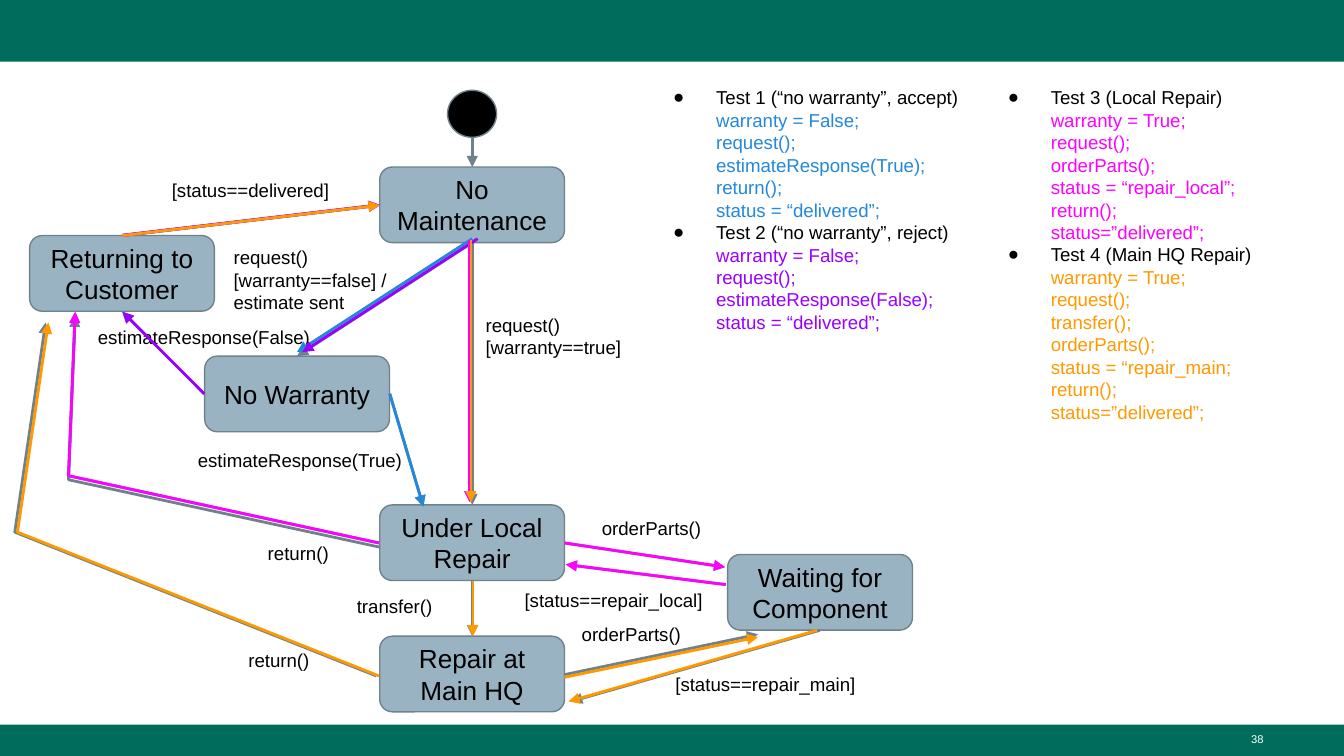
"""Draw a repair workflow state machine with four test paths over it."""
import copy

import lxml.etree
import pptx
import pptx.dml.color
import pptx.enum.shapes
import pptx.enum.text
import pptx.oxml.ns
import pptx.util

RGB = pptx.dml.color.RGBColor
SHAPES = pptx.enum.shapes.MSO_SHAPE
ALIGN = pptx.enum.text.PP_ALIGN
ANCHOR = pptx.enum.text.MSO_ANCHOR

GREEN = RGB(0x00, 0x6C, 0x5C)
STEEL = RGB(0x99, 0xB3, 0xC2)
GREY = RGB(0x6F, 0x82, 0x8C)
BLACK = RGB(0, 0, 0)
WHITE = RGB(0xFF, 0xFF, 0xFF)
BLUE = RGB(0x23, 0x88, 0xDB)
PURPLE = RGB(0x99, 0x00, 0xFF)
MAGENTA = RGB(0xFF, 0x00, 0xFF)
ORANGE = RGB(0xFF, 0x99, 0x00)

SLIDE_WIDTH = pptx.util.Inches(10)
SLIDE_HEIGHT = SLIDE_WIDTH * 9 // 16
CELL = SLIDE_WIDTH / 100
STATE_SIZE = (13.75, 5.63)
LABEL_PADDING, LABEL_LINE = 2, 1.7

BANDS = [(0, 0, 100, 4.6), (0, 53.92, 100, 2.33)]
PAGE_NUMBER = ("38", (71.7, 54, 23.3, 2.3))
START = (33.3, 6.72, 3.65, 3.5)

STATES = [
    ("No Maintenance", 28.25, 12.43),
    ("No Warranty", 15.23, 26.5),
    ("Under Local Repair", 28.25, 37.57),
    ("Returning to Customer", 2.2, 17.53),
    ("Repair at Main HQ", 28.25, 47.34),
    ("Waiting for Component", 54.14, 41.26),
]

LABELS = [
    ("request() [warranty==false] / estimate sent", 16.4, 17.3, 15.4, 3),
    ("request() [warranty==true]", 35.15, 22.35, 15.4, 2),
    ("estimateResponse(True)", 13.74, 32.55, 20.7, 1),
    ("estimateResponse(False)", 6.3, 23.4, 18.1, 1),
    ("[status==delivered]", 11.8, 12.45, 13.8, 1),
    ("transfer()", 25.57, 43.44, 8.6, 1),
    ("orderParts()", 43.8, 37.64, 10.4, 1),
    ("[status==repair_local]", 38.05, 43, 18.6, 1),
    ("return()", 18.94, 39.45, 9.3, 1),
    ("return()", 17.5, 47.45, 9.3, 1),
    ("orderParts()", 42.3, 45.5, 10.4, 1),
    ("[status==repair_main]", 49.27, 49.25, 18.6, 1),
]

ROUTES = {
    "start": [(35.14, 10.3), (35.14, 12.43)],
    "no warranty": [(35.14, 18.06), (22.1, 26.5)],
    "warranty": [(35.14, 18.06), (35.14, 37.57)],
    "accept": [(29, 29.3), (31.5, 37.7)],
    "reject": [(15.2, 29.3), (9.1, 23.2)],
    "delivered": [(9.1, 17.53), (28.25, 15.27)],
    "transfer": [(35.14, 43.2), (35.14, 47.34)],
    "local order": [(42, 40.4), (53.95, 42.2)],
    "local parts": [(54, 43.5), (42.1, 42)],
    "local return": [(28.2, 40.7), (5.1, 35.7), (5.6, 23.5)],
    "main return": [(28, 50.3), (1.1, 39.6), (3.4, 24)],
    "main order": [(42, 50.2), (56.4, 47.2)],
    "main parts": [(61, 46.9), (42.5, 52.2)],
}

TESTS = [
    ("Test 1 (“no warranty”, accept)", BLUE,
     ["warranty = False;", "request();", "estimateResponse(True);", "return();",
      "status = “delivered”;"],
     [("no warranty", 0, -0.3), ("accept", 0, 0), ("local return", 0, -0.3),
      ("delivered", 0, 0)]),
    ("Test 2 (“no warranty”, reject)", PURPLE,
     ["warranty = False;", "request();", "estimateResponse(False);",
      "status = “delivered”;"],
     [("no warranty", 0.4, -0.3), ("reject", 0, 0), ("delivered", 0, -0.03)]),
    ("Test 3 (Local Repair)", MAGENTA,
     ["warranty = True;", "request();", "orderParts();",
      "status = “repair_local”;", "return();", "status=”delivered”;"],
     [("warranty", -0.2, -0.2), ("local order", 0, 0), ("local parts", 0, 0),
      ("local return", 0, -0.3), ("delivered", 0, 0)]),
    ("Test 4 (Main HQ Repair)", ORANGE,
     ["warranty = True;", "request();", "transfer();", "orderParts();",
      "status = “repair_main;", "return();", "status=”delivered”;"],
     [("warranty", -0.1, -0.2), ("transfer", 0.05, 0), ("main order", 0, 0.2),
      ("main parts", -0.2, 0), ("main return", 0.2, 0), ("delivered", 0, 0)]),
]
TEST_COLUMNS = [((47.3, 5.42, 29.2, 20.5), TESTS[:2]),
                ((72.2, 5.42, 26.9, 29.6), TESTS[2:])]


def emu(*cells):
    return [round(cell * CELL) for cell in cells]


def add_xml(parent, tag, **attributes):
    return lxml.etree.SubElement(parent, pptx.oxml.ns.qn(tag), attributes)


def add_text(paragraph, text, *, size=10, color=BLACK, align=ALIGN.LEFT):
    paragraph.alignment = align
    for index, line in enumerate(text.split("\n")):
        if index:
            paragraph.add_line_break()
            paragraph._p[-1].append(copy.deepcopy(paragraph.runs[-1]._r.rPr))
        if line:
            run = paragraph.add_run()
            run.text = line
            run.font.name = "Arial"
            run.font.size = pptx.util.Pt(size)
            run.font.color.rgb = color


def set_frame(frame, anchor=ANCHOR.TOP, vertical_margin=0.1):
    frame.word_wrap = True
    frame.vertical_anchor = anchor
    frame.margin_left = frame.margin_right = pptx.util.Inches(0.1)
    frame.margin_top = frame.margin_bottom = pptx.util.Inches(vertical_margin)
    return frame


def add_box(slide, preset, place, fill, outline=None):
    box = slide.shapes.add_shape(preset, *emu(*place))
    box.shadow.inherit = False
    box.fill.solid()
    box.fill.fore_color.rgb = fill
    if outline is None:
        box.line.fill.background()
    else:
        box.line.color.rgb = outline
        box.line.width = pptx.util.Pt(0.75)
    return box


def add_route(slide, name, color, dx=0, dy=0):
    points = [emu(x + dx, y + dy) for x, y in ROUTES[name]]
    if len(points) == 2:
        route = slide.shapes.add_connector(
            pptx.enum.shapes.MSO_CONNECTOR.STRAIGHT, *points[0], *points[1])
    else:
        builder = slide.shapes.build_freeform(*points[0])
        builder.add_line_segments(points[1:], close=False)
        route = builder.convert_to_shape()
        route.fill.background()
    route.line.color.rgb = color
    route.line.width = pptx.util.Pt(1.5)
    add_xml(route.line._get_or_add_ln(), "a:tailEnd", type="triangle")
    add_xml(route._element.spPr, "a:effectLst")


def add_bullet(paragraph):
    properties = paragraph._p.get_or_add_pPr()
    properties.set("marL", str(pptx.util.Inches(0.5)))
    properties.set("indent", str(pptx.util.Inches(-0.32)))
    add_xml(add_xml(properties, "a:buClr"), "a:srgbClr", val=str(BLACK))
    add_xml(properties, "a:buSzPts", val="1000")
    add_xml(properties, "a:buFont", typeface="Arial")
    add_xml(properties, "a:buChar", char="●")


def add_tests(slide, place, tests):
    frame = set_frame(slide.shapes.add_textbox(*emu(*place)).text_frame)
    for index, (title, color, steps, _) in enumerate(tests):
        paragraph = frame.add_paragraph() if index else frame.paragraphs[0]
        add_bullet(paragraph)
        add_text(paragraph, title + "\n")
        add_text(paragraph, "\n".join(steps), color=color)


def main():
    deck = pptx.Presentation()
    deck.slide_width, deck.slide_height = SLIDE_WIDTH, SLIDE_HEIGHT
    slide = deck.slides.add_slide(deck.slide_layouts[6])

    for band in BANDS:
        add_box(slide, SHAPES.RECTANGLE, band, GREEN)
    number, place = PAGE_NUMBER
    frame = set_frame(slide.shapes.add_textbox(*emu(*place)).text_frame,
                      vertical_margin=0.05)
    add_text(frame.paragraphs[0], number, size=6, color=WHITE, align=ALIGN.RIGHT)

    add_box(slide, SHAPES.OVAL, START, BLACK, GREY)
    for name, left, top in STATES:
        state = add_box(slide, SHAPES.ROUNDED_RECTANGLE,
                        (left, top, *STATE_SIZE), STEEL, GREY)
        frame = set_frame(state.text_frame, ANCHOR.MIDDLE)
        add_text(frame.paragraphs[0], name, size=14, align=ALIGN.CENTER)
    for route in ROUTES:
        add_route(slide, route, GREY)
    for text, left, top, width, lines in LABELS:
        height = LABEL_PADDING + lines * LABEL_LINE
        label = slide.shapes.add_textbox(*emu(left, top, width, height))
        add_text(set_frame(label.text_frame).paragraphs[0], text)

    for place, tests in TEST_COLUMNS:
        add_tests(slide, place, tests)
        for _, color, _, path in tests:
            for route, dx, dy in path:
                add_route(slide, route, color, dx, dy)
    deck.save("out.pptx")


if __name__ == "__main__":
    main()
